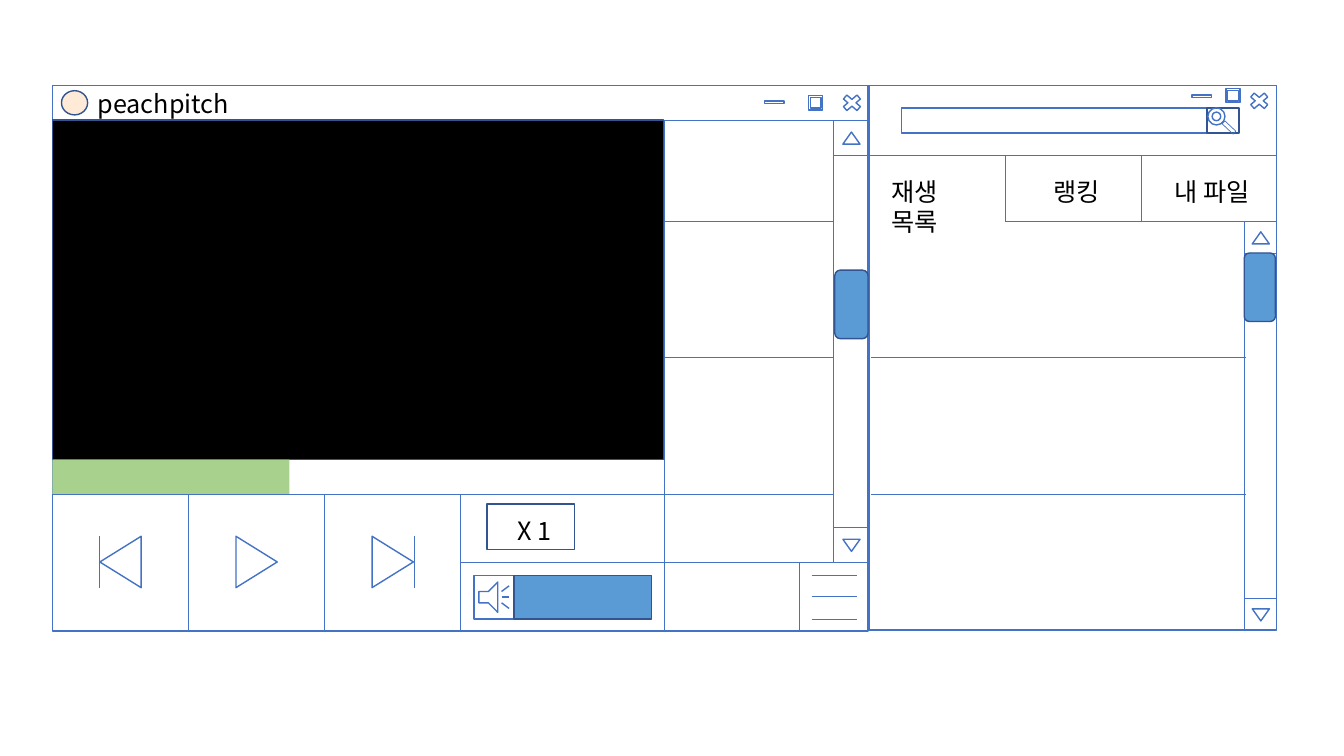
from dataclasses import dataclass
from typing import NamedTuple, Optional

from lxml.etree import SubElement
from pptx import Presentation
from pptx.dml.color import RGBColor
from pptx.enum.shapes import MSO_CONNECTOR, MSO_SHAPE as SHAPE
from pptx.enum.text import MSO_AUTO_SIZE
from pptx.oxml.ns import qn
from pptx.util import Pt

PX = 9144  # EMU per px, 100 px to the inch

BLUE = RGBColor(0x44, 0x72, 0xC4)
NAVY = RGBColor(0x32, 0x54, 0x91)
SKY = RGBColor(0x5B, 0x9B, 0xD5)
GREEN = RGBColor(0xA9, 0xD1, 0x8E)
PEACH = RGBColor(0xFF, 0xE9, 0xD7)
BLACK = RGBColor(0, 0, 0)

FONT = "Noto Sans CJK KR"
FONT_FORMAT = {"name": FONT, "size": Pt(18)}


@dataclass
class Part:
    kind: SHAPE
    x: int
    y: int
    w: int
    h: int
    fill: Optional[RGBColor] = None
    line: Optional[RGBColor] = BLUE
    rot: float = 0
    weight: float = 1


class Rule(NamedTuple):
    x1: int
    y1: int
    x2: int
    y2: int


class Label(NamedTuple):
    text: str
    x: int
    y: int
    w: int
    h: int


@dataclass
class ScrollBar:
    left: int
    right: int
    top: int
    bottom: int
    button: int
    thumb: Part


def draw_part(s, part: Part) -> None:
    sp = s.shapes.add_shape(part.kind, *(v * PX for v in (part.x, part.y, part.w, part.h)))
    sp.shadow.inherit = False
    sp.rotation = part.rot
    if part.fill is None:
        sp.fill.background()
    else:
        sp.fill.solid()
        sp.fill.fore_color.rgb = part.fill
    if part.line is None:
        sp.line.fill.background()
    else:
        sp.line.color.rgb = part.line
        sp.line.width = Pt(part.weight)


def draw_rule(s, rule: Rule) -> None:
    c = s.shapes.add_connector(MSO_CONNECTOR.STRAIGHT, *(v * PX for v in rule))
    c.line.color.rgb = BLUE
    c.line.width = Pt(0.5)
    SubElement(c._element.spPr, qn("a:effectLst"))


def draw_label(s, label: Label) -> None:
    sp = s.shapes.add_textbox(*(v * PX for v in label[1:]))
    tf = sp.text_frame
    tf.word_wrap = True
    tf.auto_size = MSO_AUTO_SIZE.SHAPE_TO_FIT_TEXT
    r = tf.paragraphs[0].add_run()
    r.text = label.text
    for name, value in FONT_FORMAT.items():
        setattr(r.font, name, value)
    r.font.color.rgb = BLACK
    SubElement(r.font._element, qn("a:ea"), typeface=FONT)


def draw_scroll_bar(s, bar: ScrollBar) -> None:
    w, h = 17, 12
    x = bar.left + round((bar.right - bar.left - w) / 2)
    inset = round((bar.button - h) / 2)
    low = bar.bottom - bar.button
    draw_rule(s, Rule(bar.left, bar.top, bar.left, bar.bottom))
    for y in (bar.top + bar.button, low):
        draw_rule(s, Rule(bar.left, y, bar.right, y))
    for y, rot in ((bar.top, 0), (low, 180)):
        draw_part(s, Part(SHAPE.ISOSCELES_TRIANGLE, x, y + inset, w, h, rot=rot))
    draw_part(s, bar.thumb)


STEP = 135  # width of a control cell and height of a list row
COLUMNS = [52 + STEP * i for i in (1, 2, 3)]
ROWS = [220 + STEP * i for i in range(3)]

WINDOWS = [
    Part(SHAPE.RECTANGLE, 52, 85, 809, 541),
    Part(SHAPE.RECTANGLE, 862, 85, 404, 540),
]

RULES = [
    # Player window frame
    Rule(52, 119, 862, 119),
    Rule(659, 119, 659, 625),
    Rule(52, 456, 659, 456),
    Rule(52, 490, 659, 490),
    Rule(457, 558, 862, 558),
    Rule(793, 558, 793, 625),
    # Control cells and list rows
    *(Rule(x, 490, x, 625) for x in COLUMNS),
    *(Rule(659, y, 827, y) for y in ROWS),
    *(Rule(864, y, 1236, y) for y in ROWS[1:]),
    # Bars of the previous and next buttons
    *(Rule(x, 532, x, 583) for x in (99, 411)),
    # Menu icon
    *(Rule(805, y, 850, y) for y in (571, 592, 614)),
    # Tabs
    Rule(862, 154, 1266, 154),
    Rule(997, 220, 1266, 220),
    *(Rule(x, 154, x, 220) for x in (997, 1132)),
]

SCROLL_BARS = [
    ScrollBar(827, 862, 119, 558, 35,
              Part(SHAPE.ROUNDED_RECTANGLE, 828, 268, 33, 68, SKY, NAVY)),
    ScrollBar(1234, 1266, 220, 625, 31,
              Part(SHAPE.ROUNDED_RECTANGLE, 1234, 251, 31, 68, SKY, NAVY)),
]

PARTS = [
    # Window buttons
    Part(SHAPE.MATH_MINUS, 755, 96, 26, 11),
    Part(SHAPE.FRAME, 802, 95, 14, 14),
    Part(SHAPE.MATH_MULTIPLY, 832, 91, 26, 22),
    Part(SHAPE.MATH_MINUS, 1179, 90, 26, 11),
    Part(SHAPE.FRAME, 1216, 88, 14, 14),
    Part(SHAPE.MATH_MULTIPLY, 1236, 89, 26, 22),
    # Video, progress bar and app icon
    Part(SHAPE.RECTANGLE, 52, 119, 606, 337, BLACK, NAVY),
    Part(SHAPE.RECTANGLE, 52, 456, 235, 34, GREEN, None),
    Part(SHAPE.OVAL, 61, 90, 26, 24, PEACH, NAVY),
    # Previous, play and next
    *(Part(SHAPE.ISOSCELES_TRIANGLE, 94 + STEP * i, 537, 51, 41, rot=rot)
      for i, rot in enumerate((270, 90, 90))),
    # Speed and volume
    Part(SHAPE.RECTANGLE, 483, 500, 87, 45, line=NAVY),
    Part(SHAPE.ACTION_BUTTON_SOUND, 470, 571, 40, 43),
    Part(SHAPE.RECTANGLE, 510, 571, 136, 43, SKY, NAVY),
    # Search field
    Part(SHAPE.RECTANGLE, 894, 107, 303, 25),
    Part(SHAPE.RECTANGLE, 1197, 107, 32, 25, line=NAVY),
    Part(SHAPE.DONUT, 1198, 107, 17, 17),
    Part(SHAPE.RECTANGLE, 1217, 119, 4, 15, rot=313.1, weight=0.5),
]

LABELS = [
    Label("peachpitch", 87, 83, 180, 35),
    Label("X 1", 503, 506, 61, 36),
    Label("재생 목록", 874, 170, 114, 35),
    Label("랭킹", 1035, 170, 92, 35),
    Label("내 파일", 1155, 170, 98, 35),
]


def main() -> None:
    prs = Presentation()
    prs.slide_width, prs.slide_height = 1333 * PX, 750 * PX
    s = prs.slides.add_slide(prs.slide_layouts[6])
    for window in WINDOWS:
        draw_part(s, window)
    for rule in RULES:
        draw_rule(s, rule)
    for bar in SCROLL_BARS:
        draw_scroll_bar(s, bar)
    for part in PARTS:
        draw_part(s, part)
    for label in LABELS:
        draw_label(s, label)
    prs.save("out.pptx")


if __name__ == "__main__":
    main()
